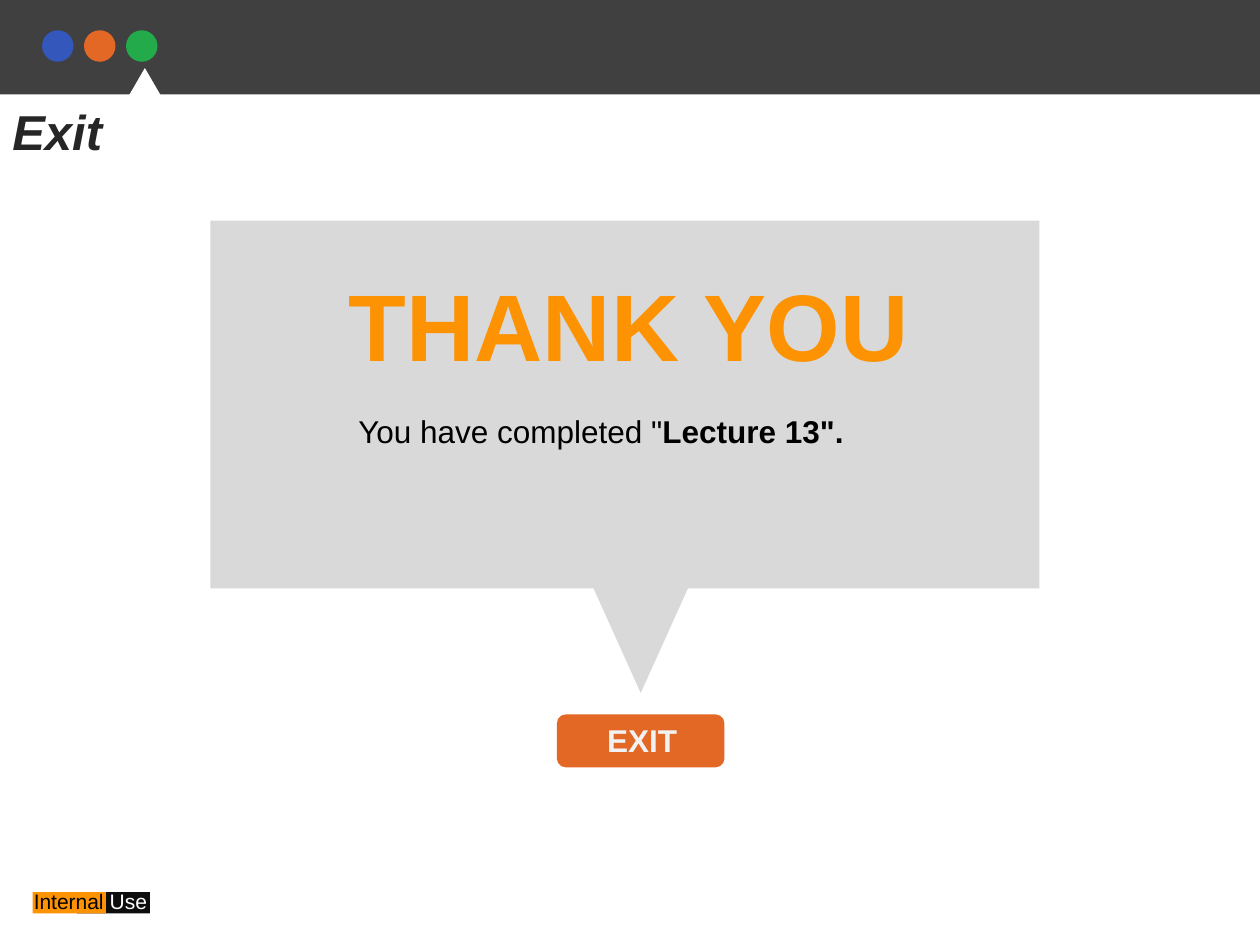
"""Build the closing slide with a thank-you callout and an exit button."""
from pptx import Presentation
from pptx.dml.color import RGBColor
from pptx.enum.shapes import MSO_SHAPE as Shape
from pptx.enum.text import PP_ALIGN as Align
from pptx.util import Inches, Pt

ORANGE, AMBER, GREY, WHITE = "E46825", "FD9203", "D9D9D9", "FFFFFF"

presentation = Presentation()
presentation.slide_width = Inches(10)
presentation.slide_height = Inches(7.5)
slide = presentation.slides.add_slide(presentation.slide_layouts[6])


def add_block(kind, box, color, rotation=0):
    shape = slide.shapes.add_shape(kind, *map(Inches, box))
    shape.shadow.inherit = False
    shape.fill.solid()
    shape.fill.fore_color.rgb = RGBColor.from_string(color)
    shape.line.fill.background()
    shape.rotation = rotation


def add_label(box, size, runs, align=Align.LEFT, italic=False):
    frame = slide.shapes.add_textbox(*map(Inches, box)).text_frame
    frame.word_wrap = True
    paragraph = frame.paragraphs[0]
    paragraph.alignment = align
    for text, color, bold in runs:
        run = paragraph.add_run()
        run.text = text
        run.font.name = "Arial"
        run.font.size = Pt(size)
        run.font.bold = bold
        run.font.italic = italic
        run.font.color.rgb = RGBColor.from_string(color)


add_block(Shape.RECTANGLE, (0, 0, 10, 0.75), "404040")
for index, color in enumerate(["3357BB", ORANGE, "23AA4A"], start=1):
    add_block(Shape.OVAL, (index / 3, 0.24, 0.25, 0.25), color)
add_block(Shape.ISOSCELES_TRIANGLE, (0.86, 0.54, 0.58, 0.5), WHITE)

add_block(Shape.RECTANGLE, (0.61, 7.08, 0.58, 0.17), "0D0D0D")
add_block(Shape.RECTANGLE, (0.26, 7.08, 0.58, 0.17), AMBER)
add_label((0.17, 7, 1.5, 0.3), 12,
          [("Internal ", "000000", False), ("Use", WHITE, False)])

add_block(Shape.ISOSCELES_TRIANGLE, (4.67, 4.58, 0.83, 0.92), GREY, rotation=180)
add_block(Shape.RECTANGLE, (1.67, 1.75, 6.58, 2.92), GREY)
add_block(Shape.ROUNDED_RECTANGLE, (4.42, 5.67, 1.33, 0.42), ORANGE)

add_label((1.33, 3.22, 6.88, 1.01), 18,
          [('You have completed "', "000000", False), ('Lecture 13".', "000000", True)],
          align=Align.CENTER)
add_label((2.67, 2.07, 4.75, 1.01), 54, [("THANK YOU", AMBER, True)])
add_label((4.72, 5.67, 1.33, 0.42), 18, [("EXIT", "F2F2F2", True)])
add_label((0, 0.76, 9.53, 0.57), 28, [("Exit", "262626", True)], italic=True)

presentation.save("out.pptx")
